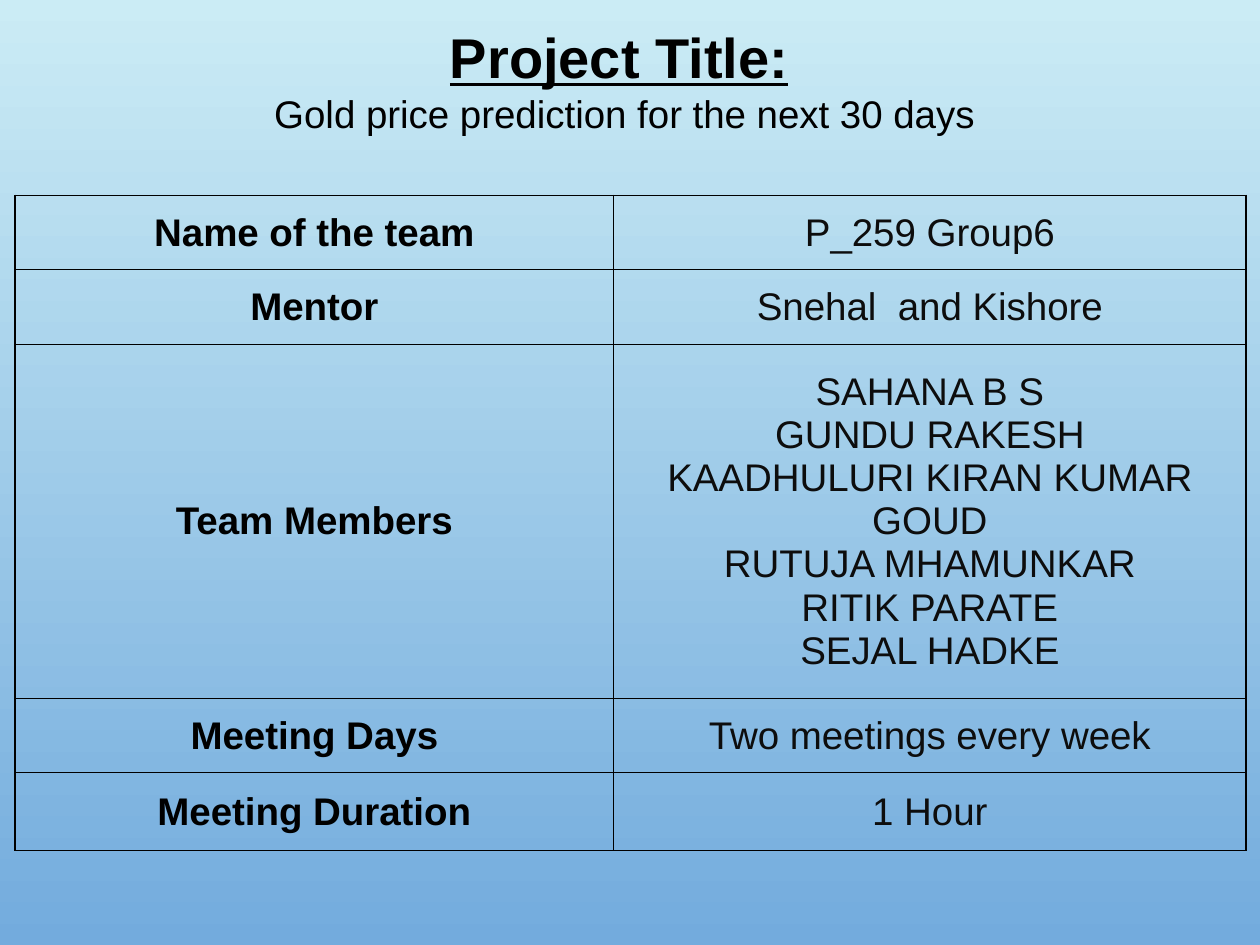
from dataclasses import dataclass

from lxml.etree import SubElement
from pptx import Presentation
from pptx.dml.color import RGBColor
from pptx.enum.text import MSO_ANCHOR, PP_ALIGN
from pptx.oxml.ns import qn
from pptx.util import Inches, Pt

BLACK = RGBColor(0x00, 0x00, 0x00)
NEAR_BLACK = RGBColor(0x0D, 0x0D, 0x0D)
SKY_TOP = RGBColor(0xCB, 0xEC, 0xF5)
SKY_BOTTOM = RGBColor(0x73, 0xAB, 0xDD)
FONT = "Arial"
BODY_SIZE = 22
HEADING_SIZE = 32
OUTER_LINE = 1
INNER_LINE = 0.5
COLUMN_WIDTHS = (4.75, 5.02)


@dataclass(frozen=True)
class Detail:
    label: str
    values: tuple[str, ...]
    height: float = 0.59


DETAILS = (
    Detail("Name of the team", ("P_259 Group6",)),
    Detail("Mentor", ("Snehal  and Kishore",)),
    Detail(
        "Team Members",
        (
            "SAHANA B S",
            "GUNDU RAKESH",
            "KAADHULURI KIRAN KUMAR GOUD",
            "RUTUJA MHAMUNKAR",
            "RITIK PARATE",
            "SEJAL HADKE",
        ),
        2.81,
    ),
    Detail("Meeting Days", ("Two meetings every week",)),
    Detail("Meeting Duration", ("1 Hour",), 0.62),
)


def add_line(paragraph, text: str, size: float = BODY_SIZE, color: RGBColor = BLACK,
             bold: bool = False, underline: bool = False) -> None:
    paragraph.alignment = PP_ALIGN.CENTER
    run = paragraph.add_run()
    run.text = text
    run.font.name = FONT
    run.font.size = Pt(size)
    run.font.bold = bold
    run.font.underline = underline
    run.font.color.rgb = color


def set_borders(cell, widths: dict[str, float]) -> None:
    properties = cell._tc.get_or_add_tcPr()
    for position, (side, width) in enumerate(widths.items()):
        border = SubElement(properties, qn(f"a:ln{side}"), w=str(int(Pt(width))))
        properties.insert(position, border)
        fill = SubElement(border, qn("a:solidFill"))
        SubElement(fill, qn("a:srgbClr"), val=str(BLACK))


def fill_cell(cell, lines: tuple[str, ...], color: RGBColor, bold: bool) -> None:
    cell.fill.background()
    cell.vertical_anchor = MSO_ANCHOR.MIDDLE
    cell.margin_left = cell.margin_right = cell.margin_top = Inches(0.01)
    cell.margin_bottom = Inches(0)
    frame = cell.text_frame
    for index, line in enumerate(lines):
        paragraph = frame.add_paragraph() if index else frame.paragraphs[0]
        add_line(paragraph, line, color=color, bold=bold)


def add_background(slide) -> None:
    fill = slide.background.fill
    fill.gradient()
    fill.gradient_angle = 270
    for stop, color, position in zip(fill.gradient_stops, (SKY_TOP, SKY_BOTTOM), (0, 1)):
        stop.color.rgb = color
        stop.position = position


def add_details(slide, details: tuple[Detail, ...]) -> None:
    height = sum(detail.height for detail in details)
    table = slide.shapes.add_table(
        len(details), len(COLUMN_WIDTHS), Inches(0.12), Inches(1.55),
        Inches(sum(COLUMN_WIDTHS)), Inches(height),
    ).table
    table.first_row = False
    table.horz_banding = False
    for column, width in zip(table.columns, COLUMN_WIDTHS):
        column.width = Inches(width)
    last_row = len(details) - 1
    for row, detail in enumerate(details):
        table.rows[row].height = Inches(detail.height)
        label, value = table.cell(row, 0), table.cell(row, 1)
        fill_cell(label, (detail.label,), BLACK, True)
        fill_cell(value, detail.values, NEAR_BLACK, False)
        top = OUTER_LINE if row == 0 else INNER_LINE
        bottom = OUTER_LINE if row == last_row else INNER_LINE
        set_borders(label, {"L": OUTER_LINE, "R": INNER_LINE, "T": top, "B": bottom})
        set_borders(value, {"L": INNER_LINE, "R": OUTER_LINE, "T": top, "B": bottom})


def add_heading(slide) -> None:
    frame = slide.shapes.add_textbox(
        Inches(0.03), Inches(0.13), Inches(9.77), Inches(1.01)
    ).text_frame
    frame.word_wrap = True
    add_line(frame.paragraphs[0], "Project Title:", HEADING_SIZE, bold=True, underline=True)
    add_line(frame.add_paragraph(), " Gold price prediction for the next 30 days")


def main() -> None:
    presentation = Presentation()
    presentation.slide_width = Inches(10)
    presentation.slide_height = Inches(7.5)
    slide = presentation.slides.add_slide(presentation.slide_layouts[6])
    add_background(slide)
    add_details(slide, DETAILS)
    add_heading(slide)
    presentation.save("out.pptx")


if __name__ == "__main__":
    main()
